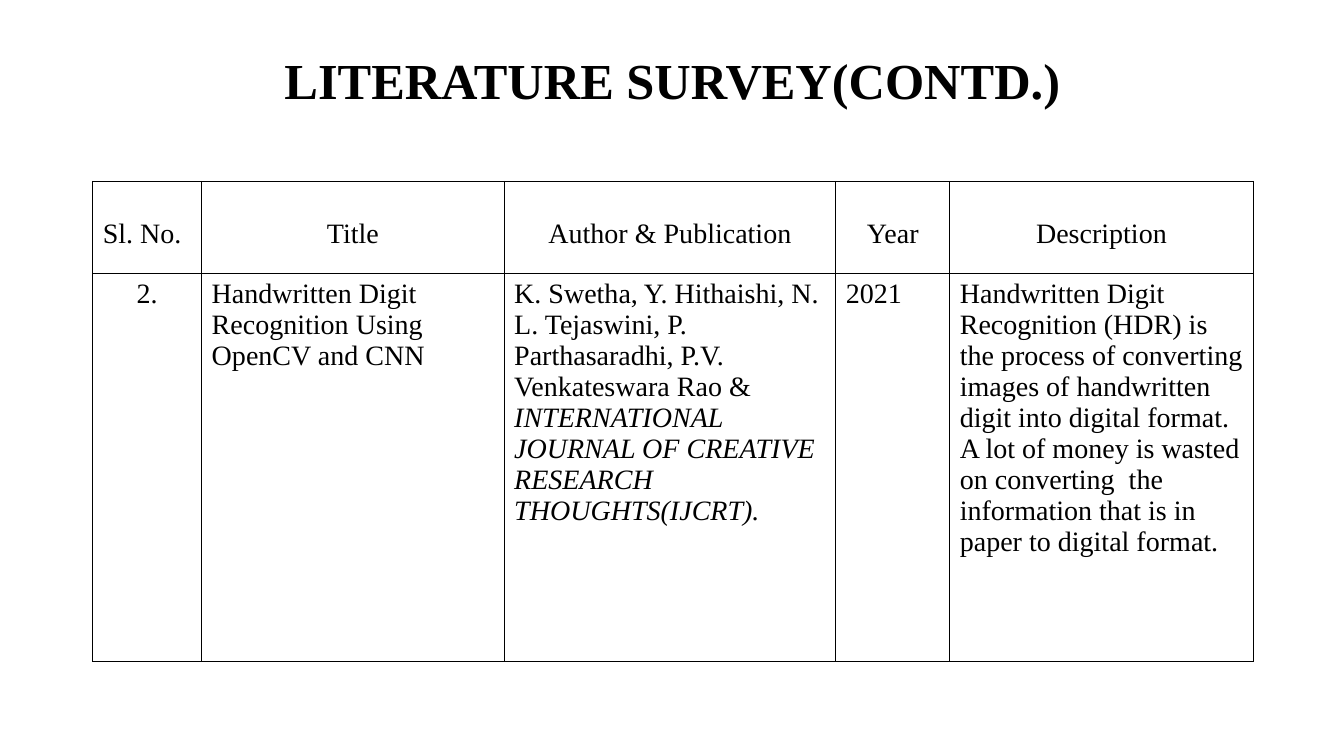
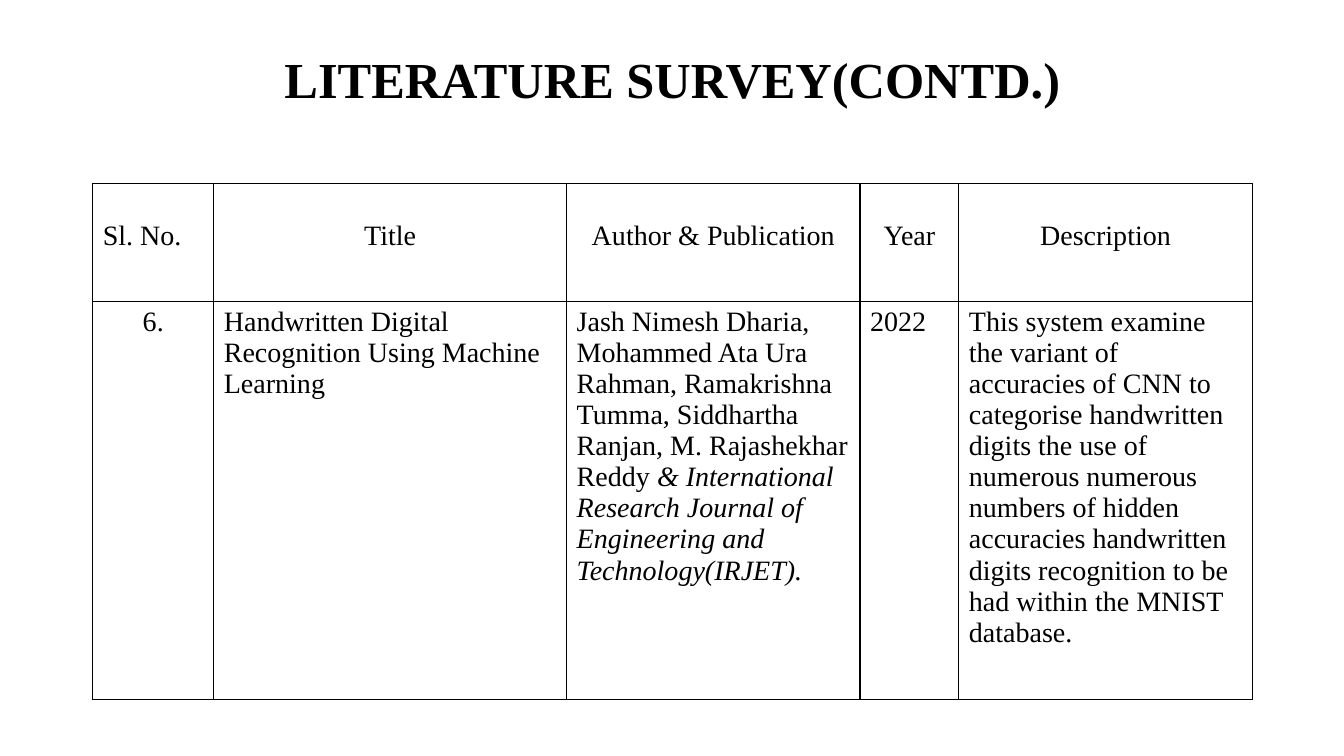
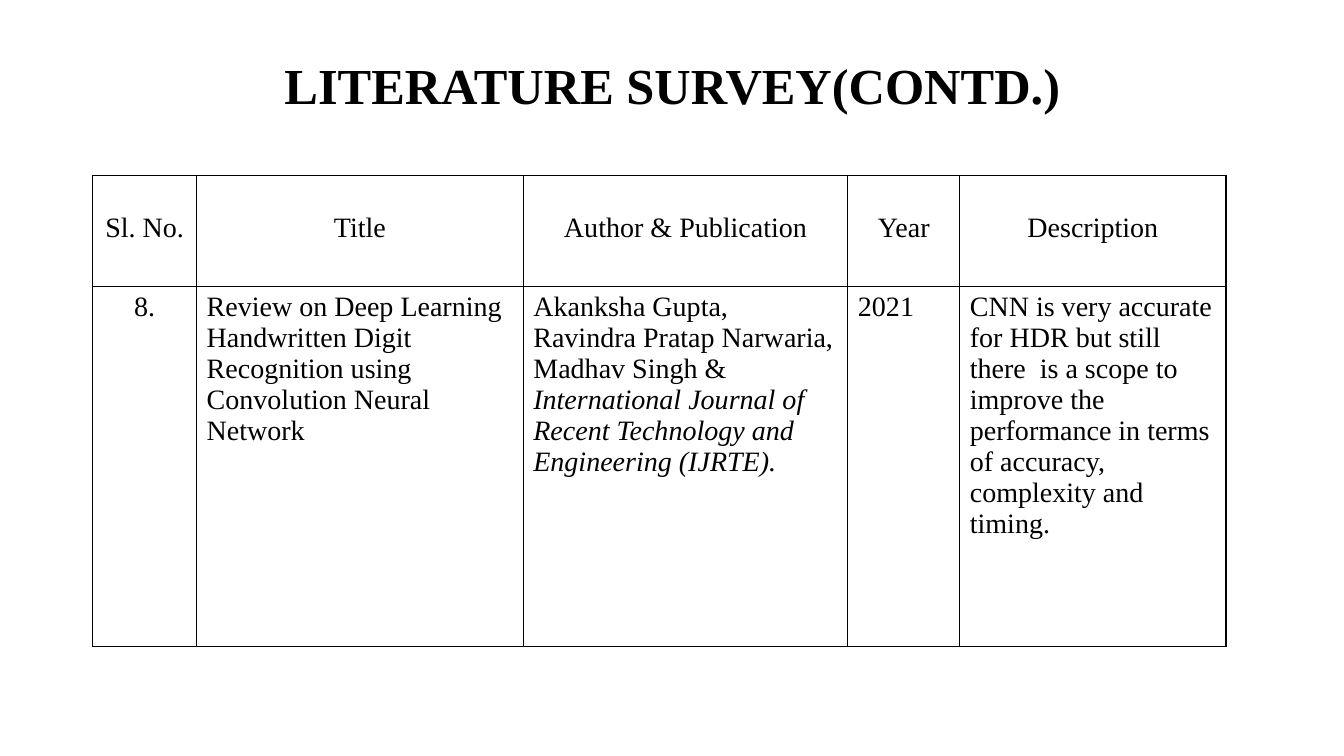
from lxml import etree
from pptx import Presentation
from pptx.dml.color import RGBColor
from pptx.enum import text
from pptx.oxml import ns
from pptx.util import Inches, Pt

# Shared style
BLACK = RGBColor(0x00, 0x00, 0x00)
FONT = "Times New Roman"
TITLE = "LITERATURE SURVEY(CONTD.)"
HEADINGS = ["Sl. No.", "Title", "Author & Publication", "Year", "Description"]
LEFT = 0.92
HEADER_MARGIN = 0.37
LEFT_ALIGN, CENTER = text.PP_ALIGN.LEFT, text.PP_ALIGN.CENTER

# One entry per slide: geometry in inches, then the table's body row
SURVEYS = [
    dict(
        title_height=0.86, top=1.8, columns=[1.08, 3, 3.29, 1.13, 3.01],
        rows=[0.91, 3.85], number_heading=LEFT_ALIGN,
        number="2.", paper="Handwritten Digit Recognition Using OpenCV and CNN",
        authors="K. Swetha, Y. Hithaishi, N. L. Tejaswini, P. Parthasaradhi, "
                "P.V. Venkateswara Rao & ",
        journal="INTERNATIONAL JOURNAL OF CREATIVE RESEARCH THOUGHTS(IJCRT).",
        year="2021",
        description="Handwritten Digit Recognition (HDR) is the process of converting "
                    "images of handwritten digit into digital format. A lot of money is "
                    "wasted on converting  the information that is in paper to digital "
                    "format.",
    ),
    dict(
        title_height=0.83, top=1.82, columns=[1.2, 3.5, 2.91, 0.98, 2.91],
        rows=[1.17, 3.95], number_heading=LEFT_ALIGN,
        number="6.", paper="Handwritten Digital Recognition Using Machine Learning",
        authors="Jash Nimesh Dharia, Mohammed Ata Ura Rahman, Ramakrishna Tumma, "
                "Siddhartha Ranjan, M. Rajashekhar Reddy ",
        journal="& International Research Journal of Engineering and Technology(IRJET).",
        year="2022",
        description="This system examine the variant of accuracies of CNN to categorise "
                    "handwritten digits the use of numerous numerous numbers of hidden "
                    "accuracies handwritten digits recognition to be had within the MNIST "
                    "database.",
    ),
    dict(
        title_height=0.95, top=1.74, columns=[1.03, 3.24, 3.22, 1.11, 2.64],
        rows=[1.1, 3.57], number_heading=CENTER,
        number="8.",
        paper="Review on Deep Learning Handwritten Digit Recognition using "
              "Convolution Neural Network",
        authors="Akanksha Gupta, Ravindra Pratap Narwaria, Madhav Singh & ",
        journal="International Journal of Recent Technology and Engineering (IJRTE).",
        year="2021",
        description="CNN is very accurate for HDR but still there  is a scope to improve "
                    "the performance in terms of accuracy, complexity and timing.",
    ),
]


def add_run(paragraph, words, size=20, bold=False, italic=False):
    run = paragraph.add_run()
    run.text = words
    run.font.name = FONT
    run.font.size = Pt(size)
    run.font.bold = bold
    run.font.italic = italic
    run.font.color.rgb = BLACK


def add_borders(cell):
    properties = cell._tc.get_or_add_tcPr()
    for index, side in enumerate(["lnL", "lnR", "lnT", "lnB"]):
        line = etree.Element(ns.qn("a:" + side), w=str(Pt(1)))
        fill = etree.SubElement(line, ns.qn("a:solidFill"))
        etree.SubElement(fill, ns.qn("a:srgbClr"), val=str(BLACK))
        properties.insert(index, line)


presentation = Presentation()
presentation.slide_width = Inches(13.33)
presentation.slide_height = Inches(7.5)

for survey in SURVEYS:
    slide = presentation.slides.add_slide(presentation.slide_layouts[6])

    # Title
    title = slide.shapes.add_textbox(
        Inches(LEFT), Inches(0.4), Inches(11.5), Inches(survey["title_height"]))
    frame = title.text_frame
    frame.word_wrap = True
    frame.vertical_anchor = text.MSO_ANCHOR.MIDDLE
    paragraph = frame.paragraphs[0]
    paragraph.alignment = CENTER
    paragraph.line_spacing = 0.9
    add_run(paragraph, TITLE, size=36, bold=True)

    # Table grid
    columns, rows = survey["columns"], survey["rows"]
    table = slide.shapes.add_table(
        len(rows), len(columns), Inches(LEFT), Inches(survey["top"]),
        Inches(sum(columns)), Inches(sum(rows))).table
    table.first_row = False
    table.horz_banding = False
    for column, width in zip(table.columns, columns):
        column.width = Inches(width)
    for row, height in zip(table.rows, rows):
        row.height = Inches(height)

    # Cells: each is a roman part, with an italic journal after the authors
    body = [survey[key] for key in ("number", "paper", "authors", "year", "description")]
    for row_index, words_in_row in enumerate([HEADINGS, body]):
        for column_index, words in enumerate(words_in_row):
            cell = table.cell(row_index, column_index)
            cell.fill.background()
            add_borders(cell)
            paragraph = cell.text_frame.paragraphs[0]
            add_run(paragraph, words)
            if row_index == 0:
                cell.margin_top = Inches(HEADER_MARGIN)
                paragraph.alignment = CENTER if column_index else survey["number_heading"]
            else:
                paragraph.alignment = LEFT_ALIGN if column_index else CENTER
                if column_index == 2:
                    add_run(paragraph, survey["journal"], italic=True)

presentation.save("out.pptx")
